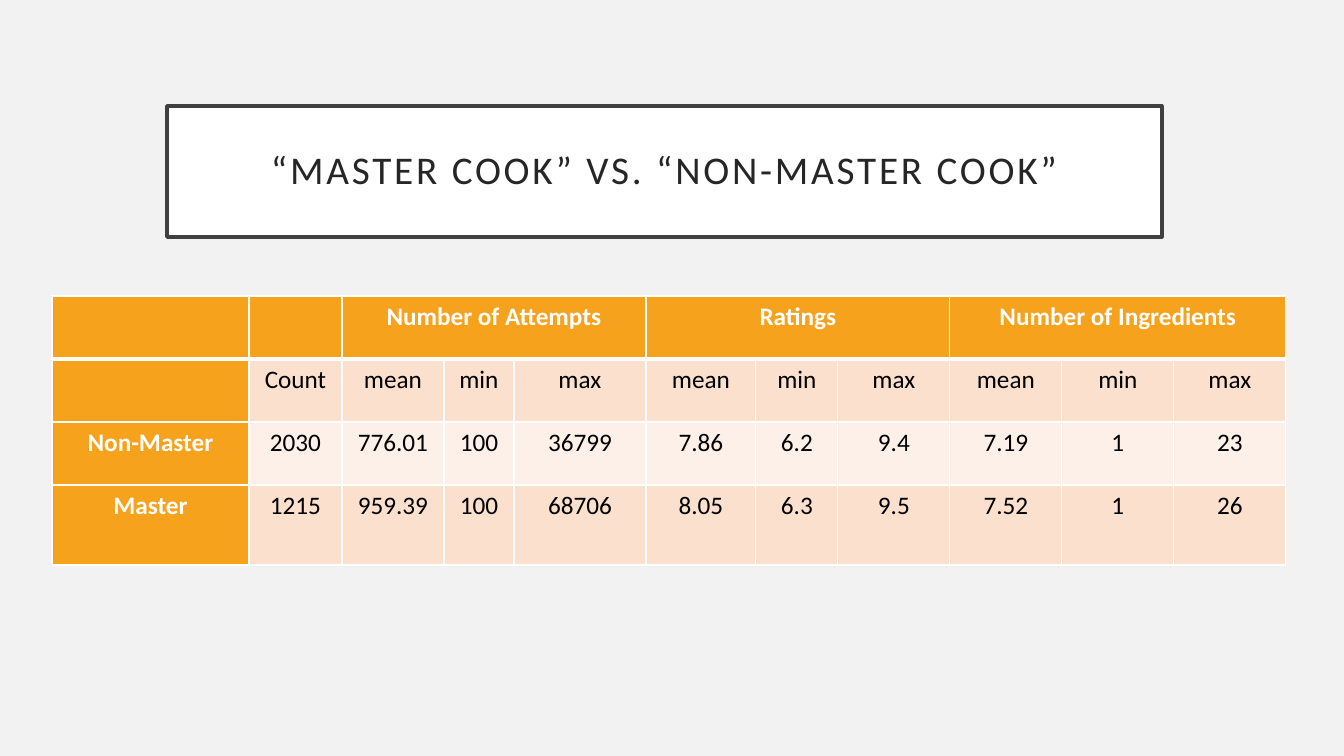
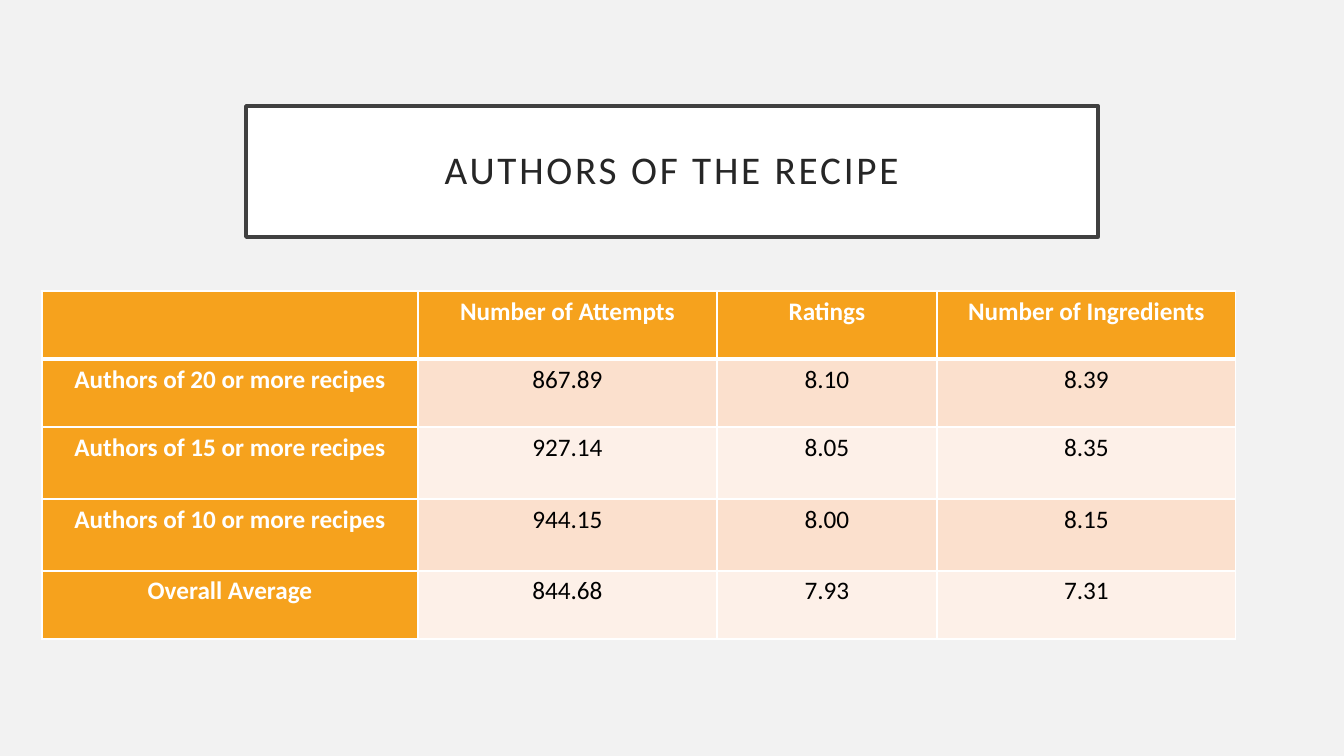
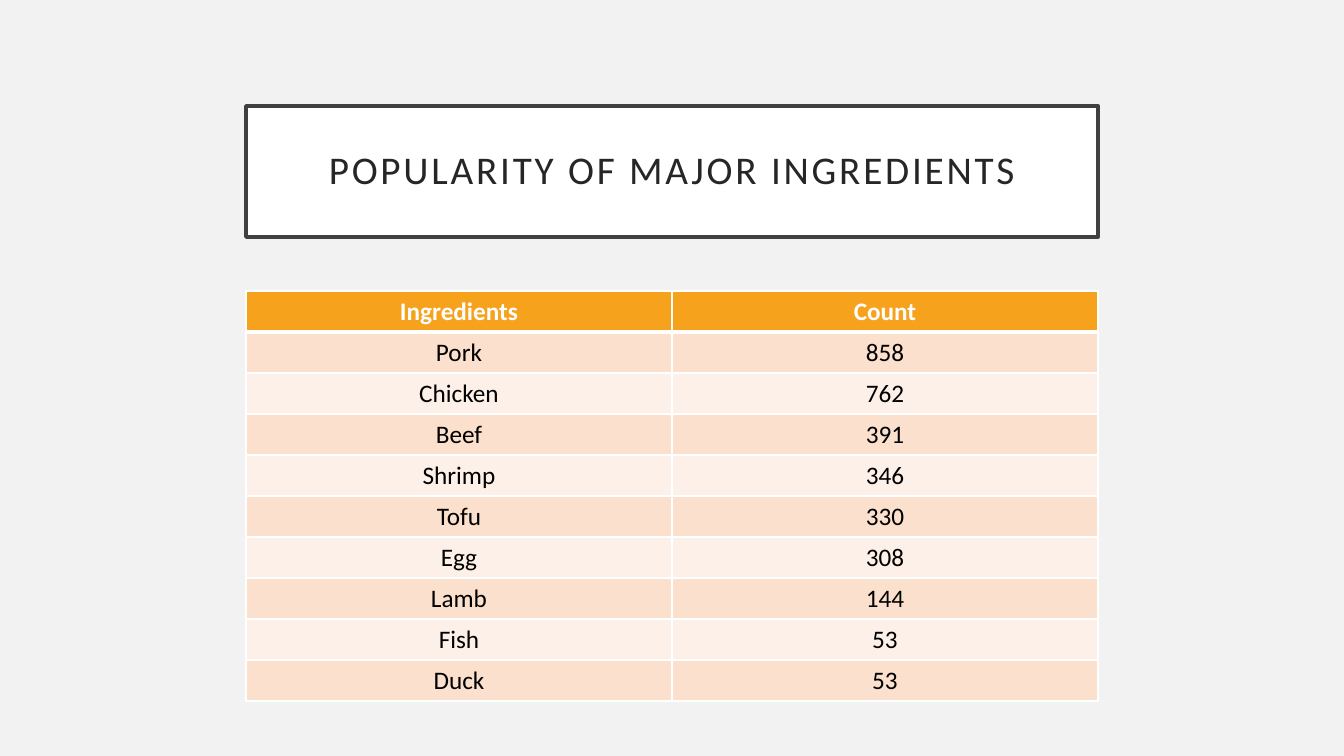
from lxml.etree import SubElement
from pptx import Presentation
from pptx.dml.color import RGBColor
from pptx.enum.shapes import MSO_SHAPE as Shape
from pptx.enum.text import MSO_ANCHOR as Anchor, PP_ALIGN as Align
from pptx.oxml.ns import qn
from pptx.util import Emu, Pt

# Shared look
BACKGROUND = RGBColor(0xF2, 0xF2, 0xF2)
WHITE = RGBColor(0xFF, 0xFF, 0xFF)
BLACK = RGBColor(0x00, 0x00, 0x00)
FRAME = RGBColor(0x40, 0x40, 0x40)
TITLE_INK = RGBColor(0x26, 0x26, 0x26)
ORANGE = RGBColor(0xF6, 0xA2, 0x1D)
BANDS = (RGBColor(0xFB, 0xE0, 0xCD), RGBColor(0xFD, 0xF0, 0xE8))
FONT = "Calibri"
PX_PER_INCH = 100.8
TITLE_BOX = (246, 106, 852, 131)
WIDE_TITLE_BOX = (167, 106, 995, 131)


def px(length):
    return Emu(round(length * 914400 / PX_PER_INCH))


def style_text(paragraph, size, color, bold=False):
    paragraph.alignment = Align.CENTER
    for run in paragraph.runs:
        run.font.name = FONT
        run.font.size = Pt(size)
        run.font.bold = bold
        run.font.color.rgb = color


def add_title(slide, text, box):
    """Framed white title, centred in its box."""
    title = slide.shapes.add_shape(Shape.RECTANGLE, *map(px, box))
    title.shadow.inherit = False
    title.fill.solid()
    title.fill.fore_color.rgb = WHITE
    title.line.color.rgb = FRAME
    title.line.width = Pt(2.5)
    frame = title.text_frame
    frame.word_wrap = True
    frame.vertical_anchor = Anchor.MIDDLE
    frame.margin_left = frame.margin_right = px(20)
    frame.margin_top = frame.margin_bottom = px(20)
    frame.text = text
    heading = frame.paragraphs[0]
    heading.line_spacing = 0.9
    style_text(heading, 28, TITLE_INK)
    # Letter spacing of 2 pt
    heading.runs[0]._r.get_or_add_rPr().set("spc", "200")


def add_borders(cell, top, bottom):
    """White cell borders; widths in points, sides always 1 pt."""
    properties = cell._tc.get_or_add_tcPr()
    for side, width in (("L", 1), ("R", 1), ("T", top), ("B", bottom)):
        border = SubElement(properties, qn(f"a:ln{side}"), w=str(Pt(width)))
        fill = SubElement(border, qn("a:solidFill"))
        SubElement(fill, qn("a:srgbClr"), val=str(WHITE))


def add_data_table(slide, left, top, widths, heights, rows,
                   row_labels=True, header_spans=()):
    """Banded table with an orange header and, if asked, orange row labels."""
    table = slide.shapes.add_table(
        len(rows), len(widths), px(left), px(top),
        px(sum(widths)), px(sum(heights))).table
    table.first_col = row_labels
    for column, width in zip(table.columns, widths):
        column.width = px(width)
    for row, height in zip(table.rows, heights):
        row.height = px(height)

    for r, values in enumerate(rows):
        for c, value in enumerate(values):
            cell = table.cell(r, c)
            is_label = r == 0 or (row_labels and c == 0)
            add_borders(cell, 3 if r == 1 else 1, 3 if r == 0 else 1)
            cell.fill.solid()
            cell.fill.fore_color.rgb = ORANGE if is_label else BANDS[(r - 1) % 2]
            cell.text_frame.text = value
            style_text(cell.text_frame.paragraphs[0], 18,
                       WHITE if is_label else BLACK, is_label)

    # Group headings over several columns
    for first, last in header_spans:
        table.cell(0, first).merge(table.cell(0, last))


def build_master_cooks(slide):
    add_title(slide, "“MASTER COOK” VS. “NON-MASTER COOK”", WIDE_TITLE_BOX)
    add_data_table(
        slide, 52, 296,
        (197, 93, 102, 70, 132, 110, 82, 112, 112, 112, 112),
        (63, 63, 63, 80),
        [
            ("", "", "Number of Attempts", "", "", "Ratings", "", "",
             "Number of Ingredients", "", ""),
            ("", "Count") + ("mean", "min", "max") * 3,
            ("Non-Master", "2030", "776.01", "100", "36799",
             "7.86", "6.2", "9.4", "7.19", "1", "23"),
            ("Master", "1215", "959.39", "100", "68706",
             "8.05", "6.3", "9.5", "7.52", "1", "26"),
        ],
        header_spans=((2, 4), (5, 7), (8, 10)))


def build_authors(slide):
    add_title(slide, "AUTHORS OF THE RECIPE", TITLE_BOX)
    add_data_table(
        slide, 42, 291, (376, 299, 220, 299), (68, 68, 72, 72, 68),
        [
            ("", "Number of Attempts", "Ratings", "Number of Ingredients"),
            ("Authors of 20 or more recipes", "867.89", "8.10", "8.39"),
            ("Authors of 15 or more recipes", "927.14", "8.05", "8.35"),
            ("Authors of 10 or more recipes", "944.15", "8.00", "8.15"),
            ("Overall Average", "844.68", "7.93", "7.31"),
        ])


def build_ingredients(slide):
    add_title(slide, "POPULARITY OF MAJOR INGREDIENTS", TITLE_BOX)
    rows = [
        ("Ingredients", "Count"),
        ("Pork", "858"),
        ("Chicken", "762"),
        ("Beef", "391"),
        ("Shrimp", "346"),
        ("Tofu", "330"),
        ("Egg", "308"),
        ("Lamb", "144"),
        ("Fish", "53"),
        ("Duck", "53"),
    ]
    add_data_table(slide, 246, 291, (426, 426), (41,) * len(rows), rows,
                   row_labels=False)


def main():
    deck = Presentation()
    deck.slide_width, deck.slide_height = px(1344), px(756)
    backdrop = deck.slide_master.background.fill
    backdrop.solid()
    backdrop.fore_color.rgb = BACKGROUND
    blank = deck.slide_layouts[6]
    for build in (build_master_cooks, build_authors, build_ingredients):
        build(deck.slides.add_slide(blank))
    deck.save("out.pptx")


if __name__ == "__main__":
    main()
